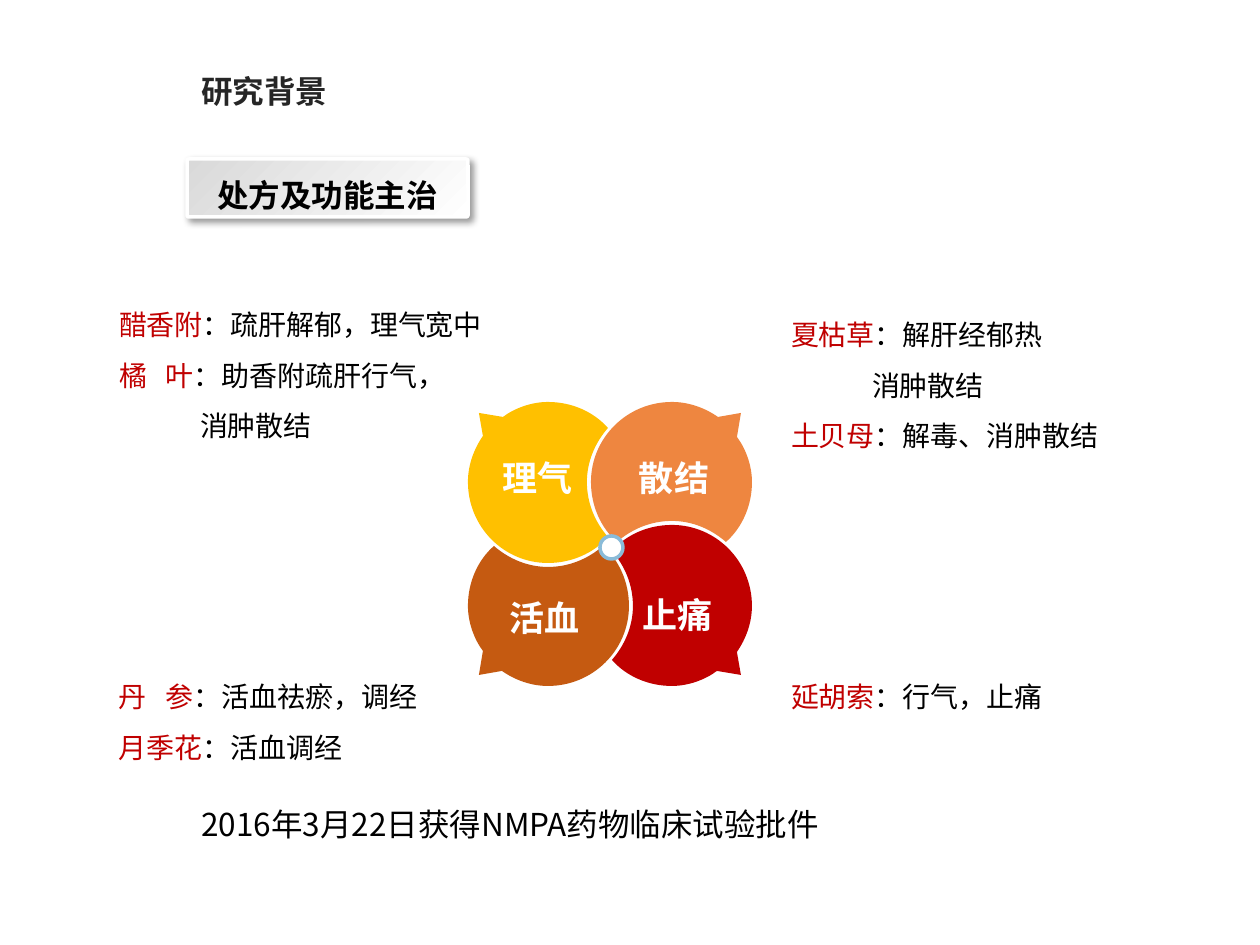
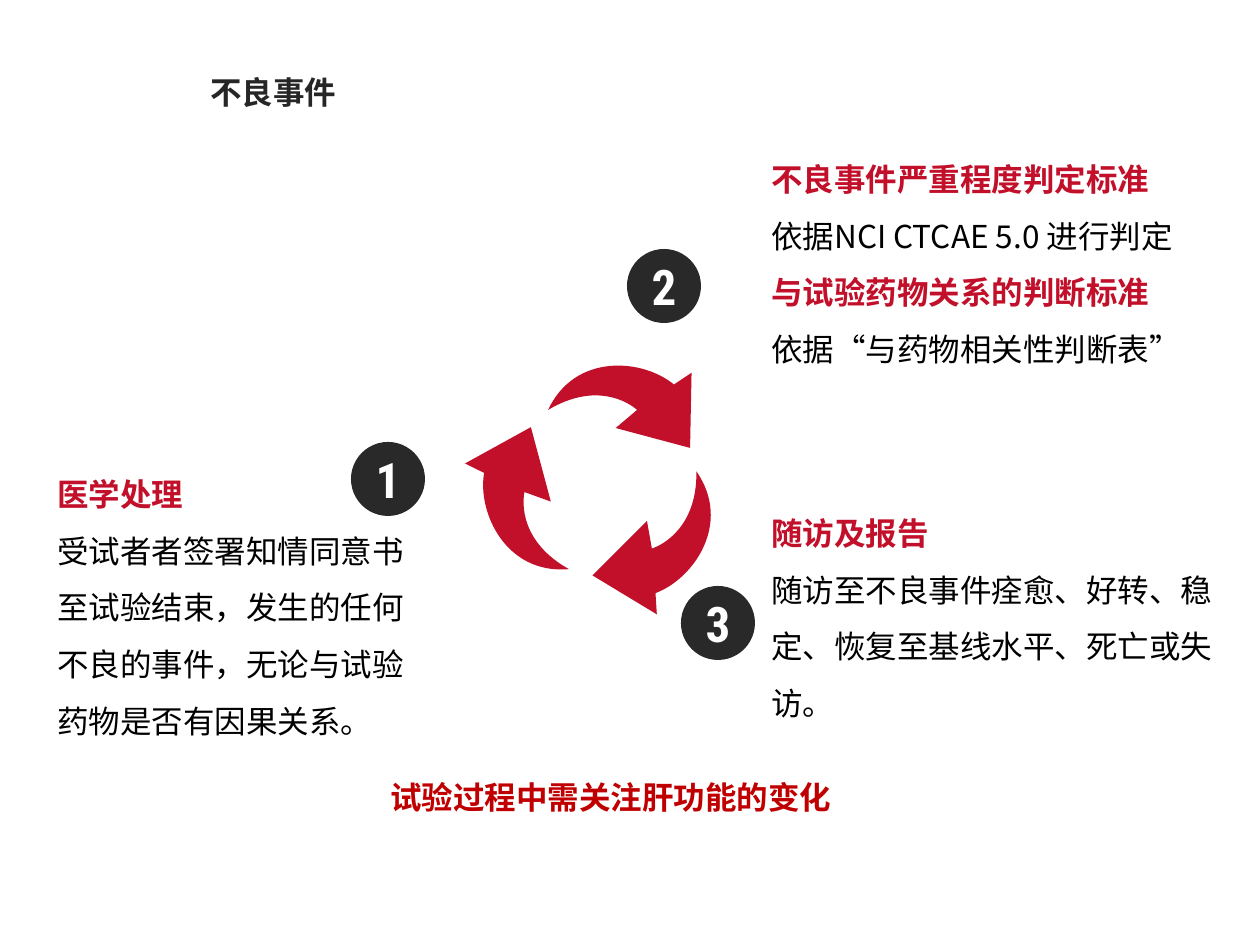
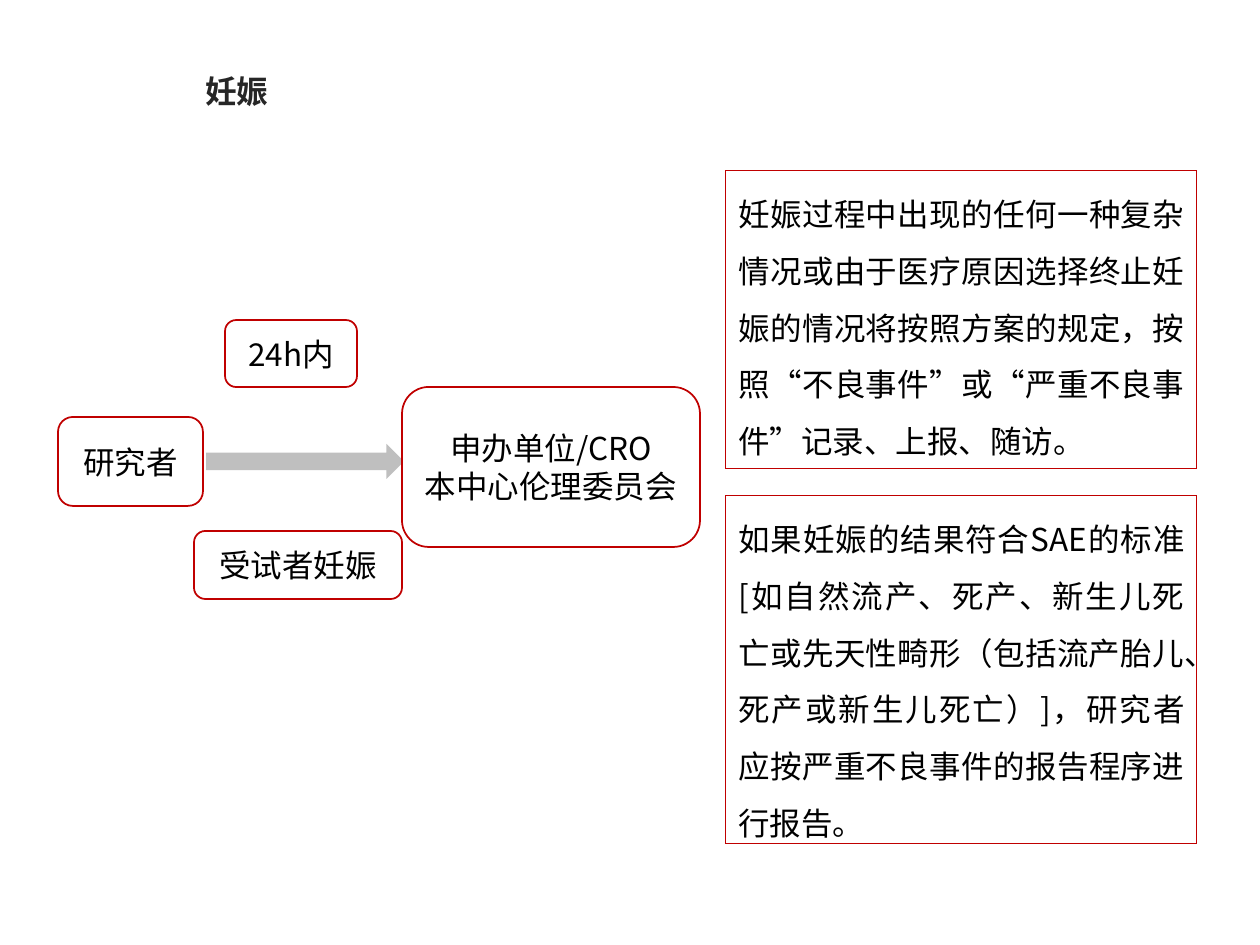
"""Build three clinical trial slides: background, adverse events and pregnancy."""
from math import cos, radians, sin

from lxml.etree import SubElement
from pptx import Presentation
from pptx.dml.color import RGBColor
from pptx.enum.shapes import MSO_SHAPE
from pptx.enum.text import MSO_ANCHOR, MSO_AUTO_SIZE, PP_ALIGN
from pptx.oxml.ns import qn
from pptx.util import Emu, Pt

SCALE = 914400 / 126
BODY_FONT, NUMBER_FONT = "Noto Sans CJK SC", "Roboto Condensed"
RED, CRIMSON, BLACK, WHITE = "C00000", "C20F2A", "000000", "FFFFFF"
TITLE_COLOR, DARK, GREY, RING = "262626", "292929", "BFBFBF", "8ABBD8"

BACKGROUND_TITLE = ("研究背景", (189, 66, 153, 50))
SECTION = ("处方及功能主治", (187, 159, 281, 58))
APPROVAL = ("2016年3月22日获得NMPA药物临床试验批件", (189, 799, 790, 50))
HERB_INDENT, HERB_TAB = 81, 47
HERBS = [
    ((119, 291, 374, 152), [("醋香附", "：疏肝解郁，理气宽中"), ("橘\t叶", "：助香附疏肝行气，"), ("", "消肿散结")]),
    ((791, 301, 345, 152), [("夏枯草", "：解肝经郁热"), ("", "消肿散结"), ("土贝母", "：解毒、消肿散结")]),
    ((791, 680, 258, 34), [("延胡索", "：行气，止痛")]),
    ((119, 663, 325, 102), [("丹\t参", "：活血祛瘀，调经"), ("月季花", "：活血调经")]),
]
FLOWER_CENTER = (610, 544)
HUB = (600, 536, 23, 23)
PETAL_OUTLINE = [
    [(-62, -142)],
    [(-38, -142), (-16, -132), (-2, -116)],
    [(-15, -101), (-23, -82), (-23, -62)],
    [(-23, -41), (-15, -22), (-2, -7)],
    [(-16, 9), (-38, 19), (-62, 19)],
    [(-106, 19), (-142, -17), (-142, -62)],
    [(-142, -79), (-136, -95), (-127, -108)],
    [(-131, -131)],
    [(-107, -127)],
    [(-95, -136), (-78, -142), (-62, -142)],
]
PETALS = [
    ("止痛", RED, 180, (678, 593)),
    ("活血", "C55A11", 270, (545, 596)),
    ("理气", "FFC000", 0, (538, 456)),
    ("散结", "EE8640", 90, (674, 456)),
]

EVENTS_TITLE = ("不良事件", (198, 67, 153, 50))
EVENTS = [
    ((759, 135, 456, 238), [
        ("不良事件严重程度判定标准", "依据NCI CTCAE 5.0 进行判定"),
        ("与试验药物关系的判断标准", "依据“与药物相关性判断表”")]),
    ((759, 489, 481, 242), [("随访及报告", "随访至不良事件痊愈、好转、稳定、恢复至基线水平、死亡或失访。")]),
    ((45, 450, 387, 292), [
        ("医学处理", "受试者者签署知情同意书至试验结束，发生的任何不良的事件，无论与试验药物是否有因果关系。")]),
]
BADGE_SIZE = 74
BADGES = {"2": (627, 249), "3": (681, 586), "1": (351, 442)}
CYCLE_CENTER, CYCLE_RADIUS = (605, 483), 93
CYCLE_TURNS = (15, 135, 255)
ARROW_OUTLINE = [
    [(55, -36)],
    [(73, 37)],
    [(-4, 37)],
    [(12, 14)],
    [(2, 9), (-35, -3), (-74, 37)],
    [(-63, -25), (4, -37), (41, -20)],
]
REMINDER = ("试验过程中需关注肝功能的变化", (378, 772, 472, 50))

PREGNANCY_TITLE = ("妊娠", (193, 66, 97, 50))
FLOW_ARROW = (206, 444, 198, 35)
FLOW_BOXES = [
    (["受试者妊娠"], (194, 531, 208, 68)),
    (["24h内"], (225, 320, 132, 67)),
    (["申办单位/CRO", "本中心伦理委员会"], (402, 387, 298, 160)),
    (["研究者"], (58, 417, 145, 89)),
]
RULES = [
    ("妊娠过程中出现的任何一种复杂情况或由于医疗原因选择终止妊娠的情况将按照方案的规定，"
     "按照“不良事件”或“严重不良事件”记录、上报、随访。", (726, 170, 471, 299)),
    ("如果妊娠的结果符合SAE的标准[如自然流产、死产、新生儿死亡或先天性畸形"
     "（包括流产胎儿、死产或新生儿死亡）]，研究者应按严重不良事件的报告程序进行报告。", (726, 495, 471, 349)),
]


def px(value):
    return Emu(round(value * SCALE))


def color(value):
    return RGBColor.from_string(value)


def set_attributes(target, values):
    for name, value in values.items():
        setattr(target, name, value)


def write(shape, paragraphs, size=18, font_name=BODY_FONT, align=PP_ALIGN.LEFT, spacing=None,
          inset=True, anchor=MSO_ANCHOR.TOP, grow=False):
    """Fill a shape with paragraphs, each a list of (text, colour, bold) runs."""
    frame = shape.text_frame
    fit = MSO_AUTO_SIZE.SHAPE_TO_FIT_TEXT if grow else MSO_AUTO_SIZE.NONE
    set_attributes(frame, {"word_wrap": True, "auto_size": fit, "vertical_anchor": anchor})
    if not inset:
        set_attributes(frame, dict.fromkeys(("margin_left", "margin_top", "margin_right", "margin_bottom"), 0))
    for index, runs in enumerate(paragraphs):
        paragraph = frame.add_paragraph() if index else frame.paragraphs[0]
        set_attributes(paragraph, {"alignment": align, "line_spacing": spacing})
        for text, run_color, bold in runs:
            run = paragraph.add_run()
            run.text = text
            set_attributes(run.font, {"size": Pt(size), "bold": bold, "name": font_name})
            run.font.color.rgb = color(run_color)
            latin = run.font._element.find(qn("a:latin"))
            latin.addnext(latin.makeelement(qn("a:ea"), {"typeface": font_name}))


def add_text(slide, box, paragraphs, **style):
    shape = slide.shapes.add_textbox(*map(px, box))
    write(shape, paragraphs, grow=True, **style)
    return shape


def paint(shape, fill=None, line=None, width=1):
    shape.shadow.inherit = False
    if fill:
        shape.fill.solid()
        shape.fill.fore_color.rgb = color(fill)
    else:
        shape.fill.background()
    if line:
        shape.line.color.rgb = color(line)
        shape.line.width = Pt(width)
    else:
        shape.line.fill.background()


def add_shape(slide, kind, box, **paint_values):
    shape = slide.shapes.add_shape(kind, *map(px, box))
    paint(shape, **paint_values)
    return shape


def rotate(point, turn):
    x, y = point
    cosine, sine = cos(radians(turn)), sin(radians(turn))
    return x * cosine - y * sine, x * sine + y * cosine


def add_outline(slide, outline, center, fill, turn=0):
    """Draw a closed outline whose three-point steps are cubic curves."""
    steps = [[tuple(px(middle + value) for middle, value in zip(center, rotate(point, turn))) for point in step]
             for step in outline]
    anchors = [step[-1] for step in steps]
    builder = slide.shapes.build_freeform(*anchors[0])
    builder.add_line_segments(anchors[1:], close=True)
    shape = builder.convert_to_shape()
    paint(shape, fill=fill)
    segments = list(shape._element.iter(qn("a:lnTo")))
    for segment, step in zip(segments, steps[1:]):
        if len(step) == 3:
            curve = segment.makeelement(qn("a:cubicBezTo"))
            for x, y in step:
                SubElement(curve, qn("a:pt"), x=str(x - shape.left), y=str(y - shape.top))
            segment.getparent().replace(segment, curve)
    return shape


def new_slide(presentation, title):
    slide = presentation.slides.add_slide(presentation.slide_layouts[6])
    text, box = title
    add_text(slide, box, [[(text, TITLE_COLOR, True)]])
    return slide


def add_section(slide):
    text, box = SECTION
    shape = add_shape(slide, MSO_SHAPE.ROUNDED_RECTANGLE, box, line=WHITE, width=2)
    shape.adjustments[0] = 0.03
    shape.fill.gradient()
    shape.fill.gradient_angle = 315
    for stop, stop_color in zip(shape.fill.gradient_stops, ("D9D9D9", WHITE)):
        stop.color.rgb = color(stop_color)
    effects = shape._element.spPr.find(qn("a:effectLst"))
    shadow = SubElement(effects, qn("a:outerShdw"), blurRad=str(Pt(4)), dist=str(Pt(3)),
                        dir="2700000", algn="tl", rotWithShape="0")
    shadow_color = SubElement(shadow, qn("a:srgbClr"), val=BLACK)
    SubElement(shadow_color, qn("a:alpha"), val="40000")
    write(shape, [[(text, BLACK, True)]], align=PP_ALIGN.CENTER, spacing=Pt(30), anchor=MSO_ANCHOR.MIDDLE)


def add_herbs(slide):
    for box, herbs in HERBS:
        paragraphs = [[(text, run_color, False) for text, run_color in ((name, RED), (effect, BLACK)) if text]
                      for name, effect in herbs]
        shape = add_text(slide, box, paragraphs, size=16, inset=False, spacing=1.5 if len(herbs) > 1 else None)
        for (name, _), paragraph in zip(herbs, shape.text_frame.paragraphs):
            properties = paragraph._p.get_or_add_pPr()
            if not name:
                properties.set("marL", str(px(HERB_INDENT)))
                properties.set("indent", "0")
            if "\t" in name:
                tabs = SubElement(properties, qn("a:tabLst"))
                SubElement(tabs, qn("a:tab"), pos=str(px(HERB_TAB)), algn="l")


def build_background(presentation):
    slide = new_slide(presentation, BACKGROUND_TITLE)
    add_section(slide)
    add_herbs(slide)
    for _, fill, turn, _ in PETALS:
        add_outline(slide, PETAL_OUTLINE, FLOWER_CENTER, fill, turn)
    add_shape(slide, MSO_SHAPE.OVAL, HUB, fill=WHITE)
    for label, _, _, (center, top) in PETALS:
        add_text(slide, (center - 46, top, 92, 43), [[(label, WHITE, True)]], size=20,
                 align=PP_ALIGN.CENTER, inset=False)
    add_shape(slide, MSO_SHAPE.OVAL, HUB, line=RING, width=2)
    text, box = APPROVAL
    add_text(slide, box, [[(text, BLACK, False)]])


def build_events(presentation):
    slide = new_slide(presentation, EVENTS_TITLE)
    for number, corner in BADGES.items():
        badge = add_shape(slide, MSO_SHAPE.OVAL, (*corner, BADGE_SIZE, BADGE_SIZE), fill=DARK)
        write(badge, [[(number, WHITE, True)]], size=28, font_name=NUMBER_FONT, align=PP_ALIGN.CENTER,
              inset=False, anchor=MSO_ANCHOR.MIDDLE)
    for turn in CYCLE_TURNS:
        x, y = rotate((0, -CYCLE_RADIUS), turn)
        arrow = add_outline(slide, ARROW_OUTLINE, (CYCLE_CENTER[0] + x, CYCLE_CENTER[1] + y), CRIMSON)
        arrow.rotation = turn
    for box, topics in EVENTS:
        paragraphs = [[run] for heading, detail in topics
                      for run in ((heading, CRIMSON, True), (detail, BLACK, False))]
        add_text(slide, box, paragraphs, spacing=1.5)
    text, box = REMINDER
    add_text(slide, box, [[(text, RED, True)]])


def build_pregnancy(presentation):
    slide = new_slide(presentation, PREGNANCY_TITLE)
    add_shape(slide, MSO_SHAPE.RIGHT_ARROW, FLOW_ARROW, fill=GREY)
    for lines, box in FLOW_BOXES:
        shape = add_shape(slide, MSO_SHAPE.ROUNDED_RECTANGLE, box, fill=WHITE, line=RED)
        write(shape, [[(line, BLACK, False)] for line in lines], align=PP_ALIGN.CENTER, anchor=MSO_ANCHOR.MIDDLE)
    for text, box in RULES:
        shape = add_text(slide, box, [[(text, BLACK, False)]], align=PP_ALIGN.JUSTIFY, spacing=1.5)
        shape.line.color.rgb = color(RED)


def main():
    presentation = Presentation()
    set_attributes(presentation, {"slide_width": px(1260), "slide_height": px(945)})
    for build in (build_background, build_events, build_pregnancy):
        build(presentation)
    presentation.save("out.pptx")


if __name__ == "__main__":
    main()
